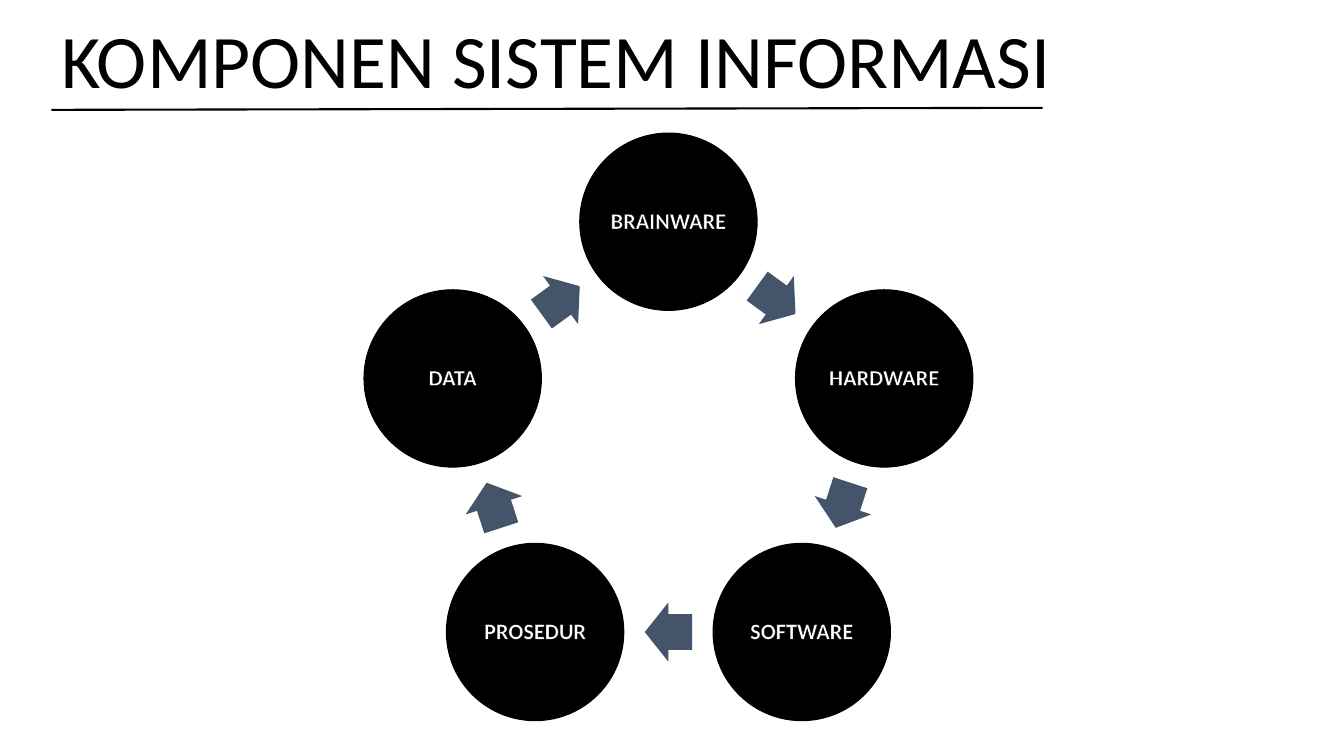
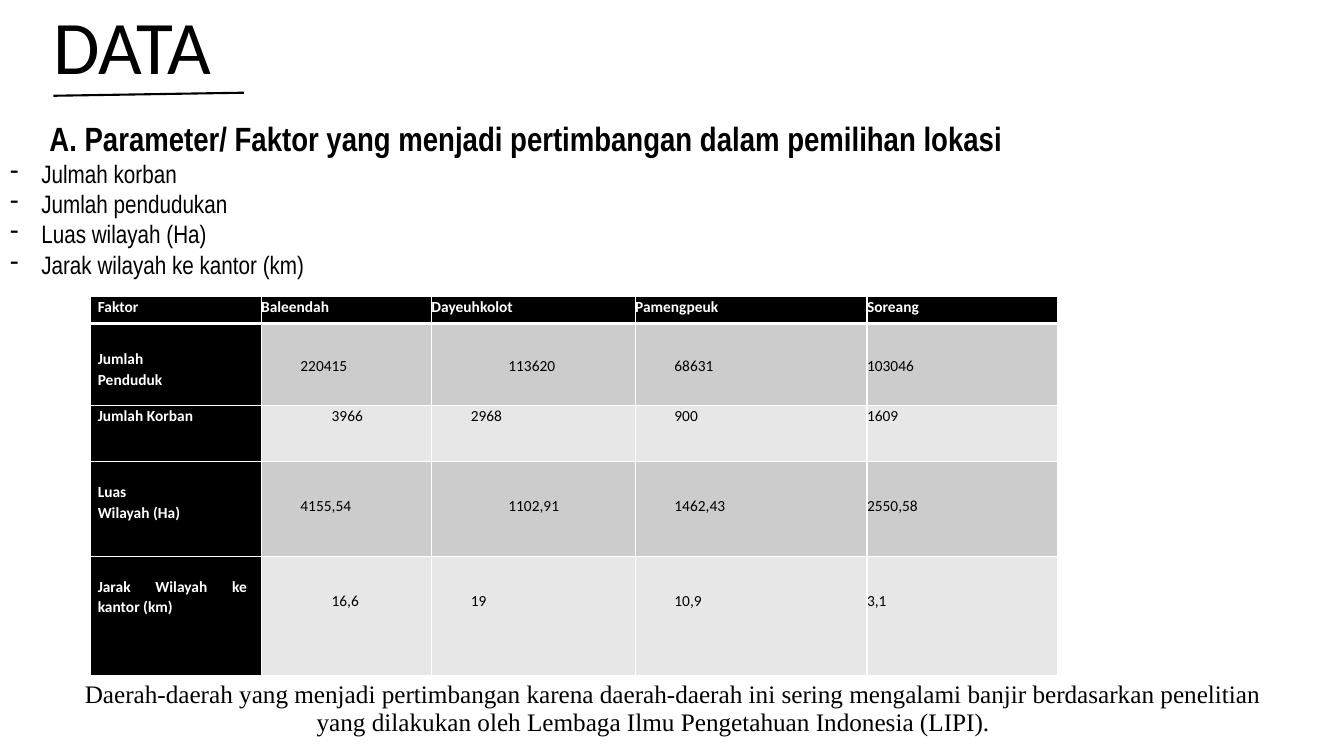
from math import cos, pi, sin

from lxml.etree import SubElement
from pptx import Presentation
from pptx.dml.color import RGBColor
from pptx.enum.shapes import MSO_CONNECTOR, MSO_SHAPE
from pptx.enum.text import MSO_ANCHOR, PP_ALIGN
from pptx.oxml import parse_xml
from pptx.oxml.ns import nsdecls, qn
from pptx.util import Inches, Pt

COLOURS = {
    "ink": "000000",
    "paper": "FFFFFF",
    "arrow": "44546A",
    "dark band": "CCCCCC",
    "light band": "E7E7E7",
}
COLOURS = {name: RGBColor.from_string(value) for name, value in COLOURS.items()}

TITLE = {"name": "Calibri", "size": Pt(54)}
CIRCLE_LABEL = {"name": "Calibri", "size": Pt(16), "bold": True}
TABLE_LABEL = {"name": "Calibri", "size": Pt(11), "bold": True}
TABLE_VALUE = {"name": "Calibri", "size": Pt(11), "bold": False}
HEADING = {"name": "Arial Narrow", "size": Pt(24), "bold": True}
LIST_ITEM = {"name": "Arial Narrow", "size": Pt(18), "bold": False}
CLOSING = {"name": "Times New Roman", "size": Pt(18)}


def style_text(frame, text, looks, colour, **layout):
    """Fill a text frame; layout holds paragraph settings such as alignment."""
    frame.word_wrap = True
    frame.text = text
    for para in frame.paragraphs:
        for name, value in layout.items():
            setattr(para, name, value)
        for span in para.runs:
            for name, value in looks.items():
                setattr(span.font, name, value)
            span.font.color.rgb = COLOURS[colour]


def indent(para, left, first):
    props = para._p.get_or_add_pPr()
    props.set("marL", str(Inches(left)))
    props.set("indent", str(Inches(first)))
    return props


deck = Presentation()
deck.slide_width, deck.slide_height = Inches(13.33), Inches(7.5)

# Titles and their underlines: text, box, line start, line end
titles = [
    ("KOMPONEN SISTEM INFORMASI", (0.51, 0, 10.53, 1.09), (0.51, 1.09), (10.34, 1.07)),
    ("DATA", (0.43, 0, 10.53, 0.95), (0.53, 0.95), (2.42, 0.92)),
]
pages = []
for text, place, start, end in titles:
    page = deck.slides.add_slide(deck.slide_layouts[6])
    pages.append(page)
    box = page.shapes.add_textbox(*map(Inches, place))
    style_text(box.text_frame, text, TITLE, "ink", line_spacing=0.9)
    box.text_frame.vertical_anchor = MSO_ANCHOR.BOTTOM
    underline = page.shapes.add_connector(
        MSO_CONNECTOR.STRAIGHT, *map(Inches, start + end))
    underline.line.color.rgb = COLOURS["ink"]
    underline.line.width = Pt(1.5)
    SubElement(underline._element.spPr, qn("a:effectLst"))
cycle_page, data_page = pages

# Cycle of components
CENTRE_X, CENTRE_Y, RADIUS = 6.63, 4.45, 2.25
CIRCLE = 1.76
ARROW_WIDTH, ARROW_HEIGHT = 0.47, 0.59
components = ["BRAINWARE", "HARDWARE", "SOFTWARE", "PROSEDUR", "DATA"]
step = 2 * pi / len(components)

for index, component in enumerate(components):
    angle = index * step
    circle = cycle_page.shapes.add_shape(
        MSO_SHAPE.OVAL,
        Inches(CENTRE_X + RADIUS * sin(angle) - CIRCLE / 2),
        Inches(CENTRE_Y - RADIUS * cos(angle) - CIRCLE / 2),
        Inches(CIRCLE), Inches(CIRCLE))
    circle.line.color.rgb = COLOURS["ink"]
    circle.line.width = Pt(0.75)
    frame = circle.text_frame
    for side in ("left", "top", "right", "bottom"):
        setattr(frame, f"margin_{side}", Inches(0.02))
    frame.vertical_anchor = MSO_ANCHOR.MIDDLE
    style_text(frame, component, CIRCLE_LABEL, "paper",
               alignment=PP_ALIGN.CENTER, line_spacing=0.9)
    outline = parse_xml(
        f'<a:ln {nsdecls("a")} w="{Pt(0.75)}"><a:solidFill>'
        f'<a:srgbClr val="{COLOURS["ink"]}"/></a:solidFill></a:ln>')
    frame.paragraphs[0].runs[0].font._element.insert(0, outline)

    angle += step / 2
    reach = RADIUS * cos(step / 2)
    arrow = cycle_page.shapes.add_shape(
        MSO_SHAPE.RIGHT_ARROW,
        Inches(CENTRE_X + reach * sin(angle) - ARROW_WIDTH / 2),
        Inches(CENTRE_Y - reach * cos(angle) - ARROW_HEIGHT / 2),
        Inches(ARROW_WIDTH), Inches(ARROW_HEIGHT))
    arrow.rotation = 360 * (index + 0.5) / len(components)
    arrow.adjustments[0], arrow.adjustments[1] = 0.6, 0.5
    arrow.line.fill.background()
    for shape, colour in ((circle, "ink"), (arrow, "arrow")):
        shape.shadow.inherit = False
        shape.fill.solid()
        shape.fill.fore_color.rgb = COLOURS[colour]

# Table of factors; a value is text, left inset and whether it is centred
LEFT, CENTRED = PP_ALIGN.LEFT, PP_ALIGN.CENTER
column_widths = [1.69, 1.69, 2.02, 2.3, 1.89]
# Row height, label inset from the top, value inset from the top, band, cells
rows = [
    (0.27, 0, 0, "ink",
     [("Faktor", 0.07, LEFT), ("Baleendah", 0, LEFT), ("Dayeuhkolot", 0, LEFT),
      ("Pamengpeuk", 0, LEFT), ("Soreang", 0, LEFT)]),
    (0.81, 0.25, 0.32, "dark band",
     [("Jumlah\nPenduduk", 0.07, LEFT), ("220415", 0.39, LEFT),
      ("113620", 0.11, CENTRED), ("68631", 0.39, LEFT), ("103046", 0, LEFT)]),
    (0.56, 0, 0, "light band",
     [("Jumlah Korban", 0.07, LEFT), ("3966", 0.16, CENTRED),
      ("2968", 0.39, LEFT), ("900", 0.39, LEFT), ("1609", 0, LEFT)]),
    (0.94, 0.2, 0.34, "dark band",
     [("Luas\nWilayah (Ha)", 0.07, LEFT), ("4155,54", 0.39, LEFT),
      ("1102,91", 0.15, CENTRED), ("1462,43", 0.39, LEFT), ("2550,58", 0, LEFT)]),
    (1.18, 0.2, 0.34, "light band",
     [("Jarak Wilayah ke kantor (km)", 0.07, PP_ALIGN.JUSTIFY),
      ("16,6", 0.12, CENTRED), ("19", 0.39, LEFT), ("10,9", 0.39, LEFT),
      ("3,1", 0, LEFT)]),
]
table = data_page.shapes.add_table(
    len(rows), len(column_widths), Inches(0.9), Inches(2.94),
    Inches(sum(column_widths)), Inches(sum(row[0] for row in rows))).table
for column, width in zip(table.columns, column_widths):
    column.width = Inches(width)

for row_index, (height, label_top, value_top, band, cells) in enumerate(rows):
    table.rows[row_index].height = Inches(height)
    for column_index, (text, inset, alignment) in enumerate(cells):
        cell = table.cell(row_index, column_index)
        is_label = column_index == 0
        is_dark = is_label or row_index == 0
        cell.margin_left, cell.margin_right = Inches(inset), Inches(0.14)
        cell.margin_top = Inches(label_top if is_label else value_top)
        cell.margin_bottom = 0
        style_text(cell.text_frame, text,
                   TABLE_LABEL if is_dark else TABLE_VALUE,
                   "paper" if is_dark else "ink",
                   alignment=alignment, line_spacing=1.07)
        cell.fill.solid()
        cell.fill.fore_color.rgb = COLOURS["ink" if is_dark else band]
        borders = {"lnL": 1, "lnR": 1,
                   "lnT": 3 if row_index == 1 else 1,
                   "lnB": 3 if row_index == 0 else 1}
        for position, (edge, weight) in enumerate(borders.items()):
            border = parse_xml(
                f'<a:{edge} {nsdecls("a")} w="{Pt(weight)}"><a:solidFill>'
                f'<a:srgbClr val="{COLOURS["paper"]}"/></a:solidFill></a:{edge}>')
            cell._tc.get_or_add_tcPr().insert(position, border)

# Heading and list of parameters
parameters = [
    "Julmah korban",
    "Jumlah pendudukan",
    "Luas wilayah (Ha)",
    "Jarak wilayah ke kantor (km)",
]
box = data_page.shapes.add_textbox(*map(Inches, (0.1, 1.17, 12.42, 1.6)))
frame = box.text_frame
frame.margin_left = frame.margin_top = frame.margin_bottom = 0
frame.margin_right = Inches(0.03)
heading = "A. Parameter/ Faktor yang menjadi pertimbangan dalam pemilihan lokasi"
style_text(frame, "\n".join([heading] + parameters), LIST_ITEM, "ink")
heading_para, *item_paras = frame.paragraphs
indent(heading_para, 0.39, 0)
for name, value in HEADING.items():
    setattr(heading_para.runs[0].font, name, value)
for para in item_paras:
    SubElement(indent(para, 0.31, -0.31), qn("a:buChar")).set("char", "-")

# Closing remark
box = data_page.shapes.add_textbox(*map(Inches, (0.15, 6.7, 12.66, 0.67)))
style_text(
    box.text_frame,
    "Daerah-daerah yang menjadi pertimbangan karena daerah-daerah ini sering "
    "mengalami banjir berdasarkan penelitian yang dilakukan oleh Lembaga Ilmu "
    "Pengetahuan Indonesia (LIPI).",
    CLOSING, "ink", alignment=CENTRED, line_spacing=0.94)
indent(box.text_frame.paragraphs[0], 0, 0.39)

deck.save("out.pptx")
